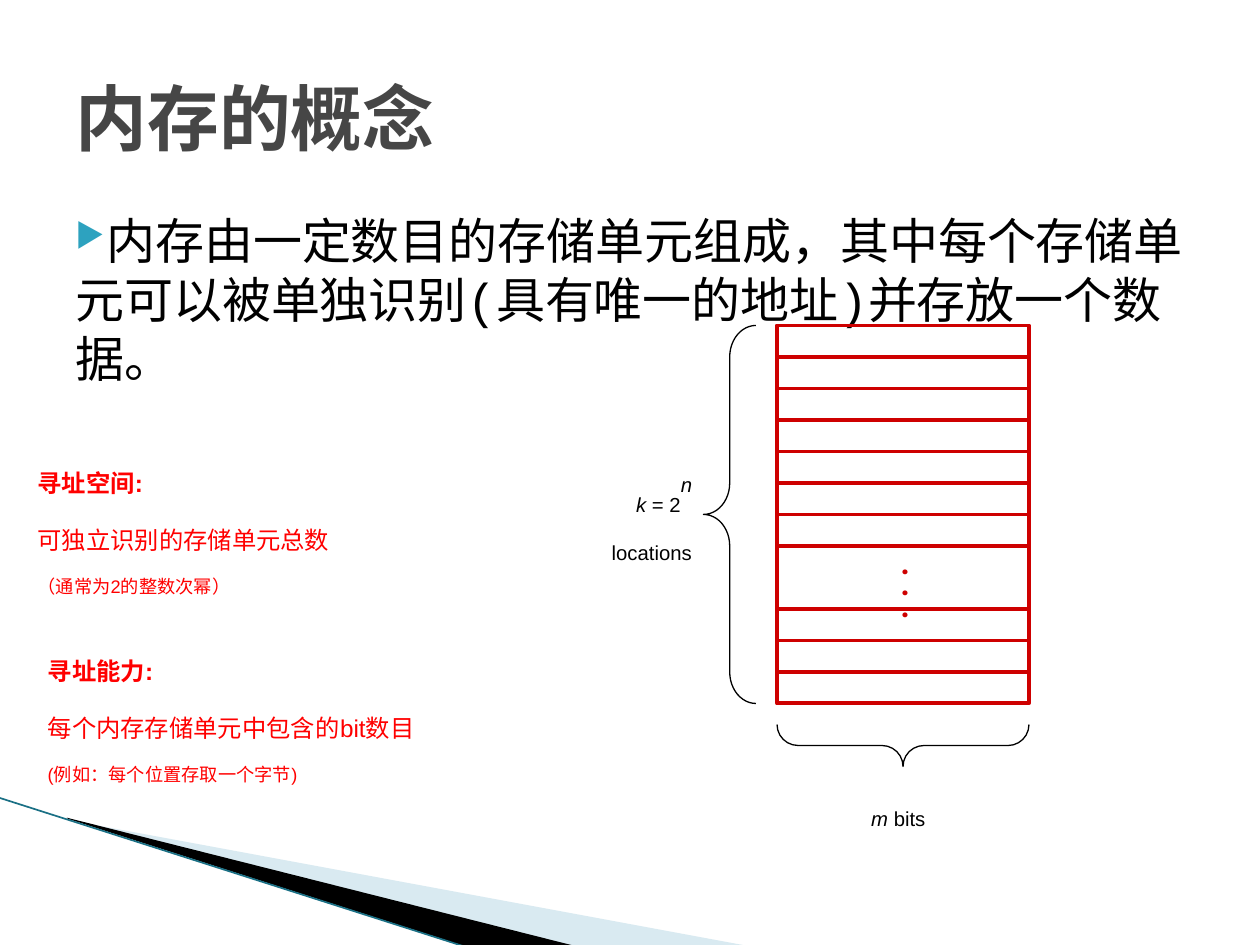
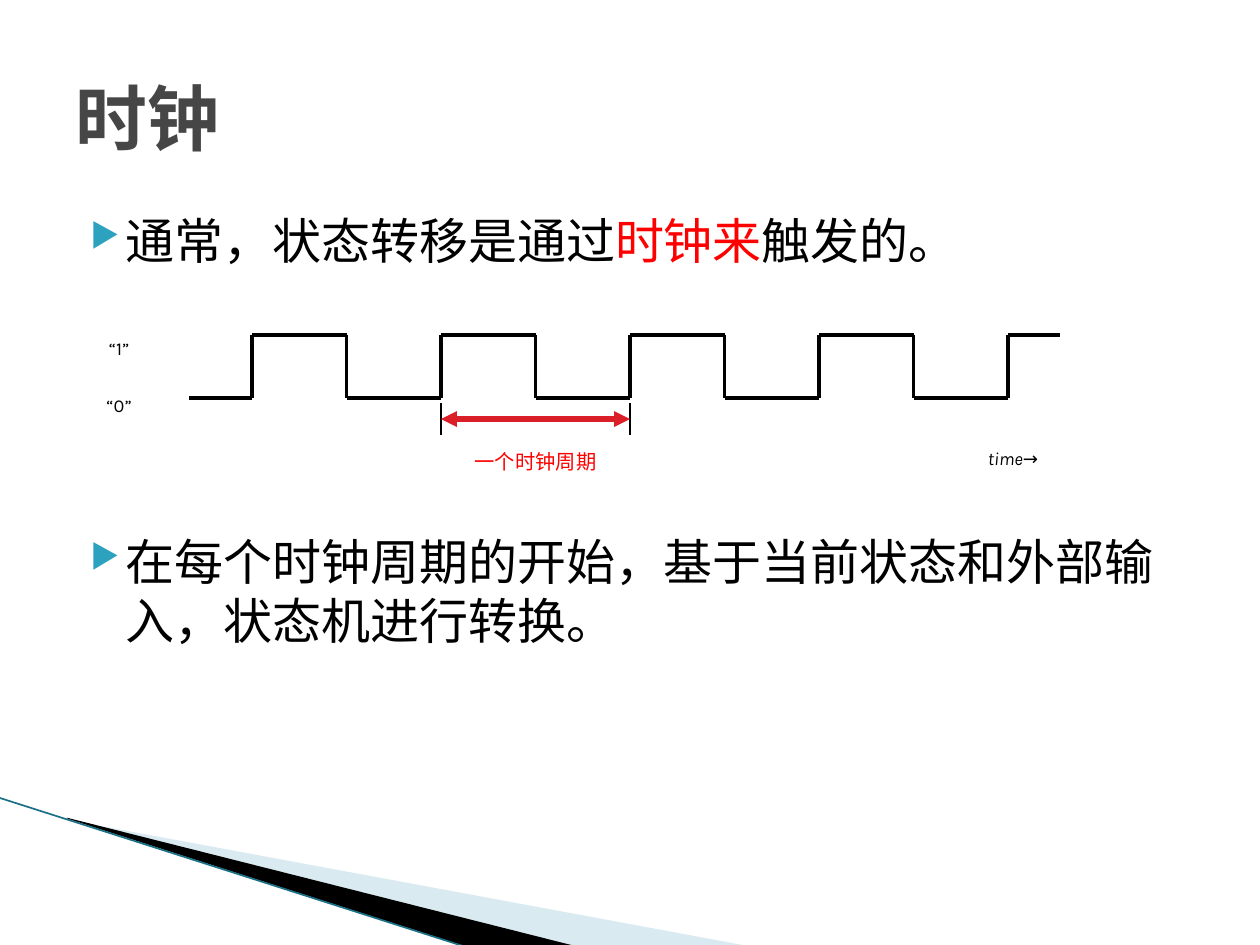
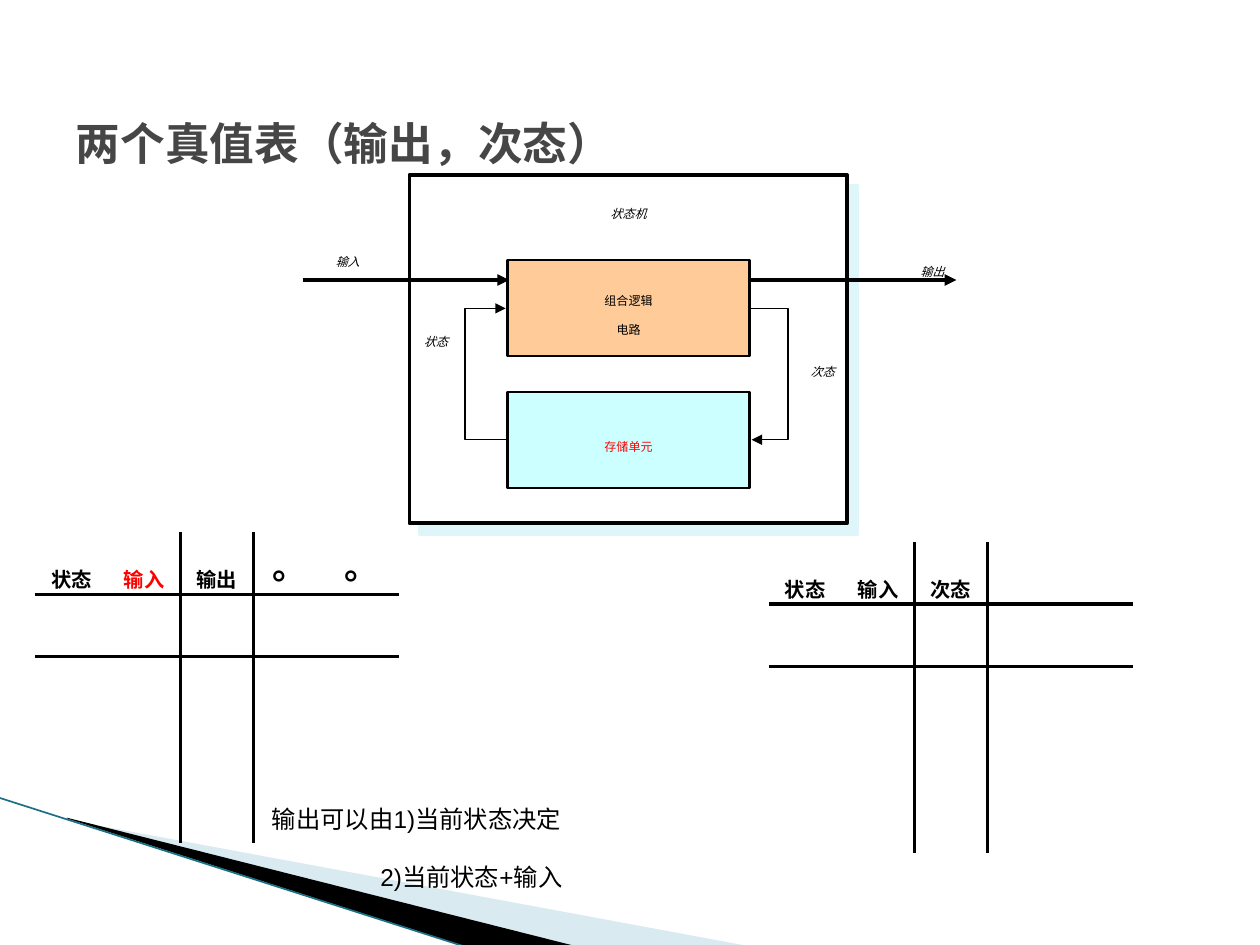
from lxml.etree import SubElement
from pptx import Presentation
from pptx.dml.color import RGBColor
from pptx.enum.shapes import MSO_CONNECTOR, MSO_SHAPE
from pptx.enum.text import MSO_ANCHOR, MSO_AUTO_SIZE, PP_ALIGN
from pptx.oxml.ns import qn
from pptx.util import Pt

BLACK, WHITE, RED = "000000", "FFFFFF", "FF0000"
MEMORY_RED, PERIOD_RED = "CE0000", "DA1F28"
TITLE_GREY, BULLET_TEAL = "464646", "2DA2BF"
WEDGE_BLUE, WEDGE_EDGE = "A0CBDC", "1A7085"
LOGIC_ORANGE, STORAGE_CYAN, SHADOW_BLUE = "FFCC99", "CCFFFF", "DEF5FA"
PLAIN_TABLE_STYLE = "{2D5ABB26-0587-4C30-8999-92F81FD0307C}"

LOWERED = -25000
TITLE = {"name": "Courier New", "size": Pt(41), "bold": True, "color": TITLE_GREY}
BODY = {"name": "Courier New", "size": Pt(28), "color": BLACK}
LABEL = {"name": "Arial", "size": Pt(20), "color": BLACK, "baseline": LOWERED}
NOTE = {**LABEL, "size": Pt(24), "color": RED}
SMALL = {**LABEL, "size": Pt(12)}
SIGNAL = {**LABEL, "name": "Karla", "size": Pt(18)}
HEADING = {**LABEL, "bold": True}


def rgb(value):
    return RGBColor.from_string(value)


def child(parent, tag, **attributes):
    return SubElement(parent, qn(tag), {key: str(value) for key, value in attributes.items()})


def points(*values):
    return [Pt(value) for value in values]


def add_run(paragraph, words, style):
    run = paragraph.add_run()
    run.text = words
    for key, value in style.items():
        if key == "color":
            run.font.color.rgb = rgb(value)
        elif key == "baseline":
            run.font._element.set("baseline", str(value))
        else:
            setattr(run.font, key, value)


def write(frame, paragraphs, style, **paragraph_format):
    """Fill a frame; each paragraph is a list of (words, changes to style)."""
    for index, runs in enumerate(paragraphs):
        paragraph = frame.add_paragraph() if index else frame.paragraphs[0]
        for key, value in paragraph_format.items():
            setattr(paragraph, key, value)
        for words, changes in runs:
            add_run(paragraph, words, {**style, **changes})


def indent(paragraph, margin, first=0):
    properties = paragraph._p.get_or_add_pPr()
    properties.set("marL", str(Pt(margin)))
    properties.set("indent", str(Pt(first)))
    return properties


def add_label(slide, box, paragraphs, style, alignment=PP_ALIGN.CENTER, **paragraph_format):
    frame = slide.shapes.add_textbox(*points(*box)).text_frame
    frame.word_wrap = False
    frame.auto_size = MSO_AUTO_SIZE.SHAPE_TO_FIT_TEXT
    write(frame, paragraphs, style, alignment=alignment, **paragraph_format)
    return frame


def add_body(slide, paragraphs, margin=0, first=0, gap=0):
    """Bulleted text, with gap points between its paragraphs."""
    frame = slide.shapes.add_textbox(*points(36, 116.64, 648, 356.4)).text_frame
    frame.word_wrap = True
    write(frame, paragraphs, BODY)
    for index, paragraph in enumerate(frame.paragraphs):
        paragraph.space_before = Pt(gap if index else 4)
        properties = indent(paragraph, margin, first)
        child(child(properties, "a:buClr"), "a:srgbClr", val=BULLET_TEAL)
        child(properties, "a:buSzPct", val=68000)
        child(properties, "a:buChar", char="▶")


def outline(shape, color, width):
    shape.line.color.rgb = rgb(color)
    shape.line.width = Pt(width)


def add_line(slide, start, end, color=BLACK, width=2.25, arrows=(), kind=MSO_CONNECTOR.STRAIGHT):
    connector = slide.shapes.add_connector(kind, *points(*start, *end))
    outline(connector, color, width)
    for arrow in arrows:
        child(connector.line._get_or_add_ln(), arrow, type="triangle")
    child(connector._element.spPr, "a:effectLst")
    return connector


def add_shape(slide, preset, box, fill=None, line=BLACK, width=2.25):
    shape = slide.shapes.add_shape(preset, *points(*box))
    shape.shadow.inherit = False
    outline(shape, line, width)
    if fill:
        shape.fill.solid()
        shape.fill.fore_color.rgb = rgb(fill)
    else:
        shape.fill.background()
    return shape


def add_wedge(slide, corners, color, opacity=100):
    start, *others = [points(*corner) for corner in corners]
    builder = slide.shapes.build_freeform(*start)
    builder.add_line_segments(others)
    wedge = builder.convert_to_shape()
    wedge.shadow.inherit = False
    wedge.fill.solid()
    wedge.fill.fore_color.rgb = rgb(color)
    wedge.line.fill.background()
    child(wedge._element.spPr.find(".//" + qn("a:srgbClr")), "a:alpha", val=opacity * 1000)


def add_titled_slide(deck, title, **changes):
    slide = deck.slides.add_slide(deck.slide_layouts[5])
    add_wedge(slide, [(39.6, 468.7), (428.4, 540.7), (328.3, 540.7), (39.6, 468)], WEDGE_BLUE, 40)
    add_wedge(slide, [(38.2, 467.3), (329, 540.7), (267.8, 541.4), (38.9, 468)], BLACK)
    add_line(slide, (-0.7, 455.8), (267.1, 541.4), WEDGE_EDGE, 0.95)

    heading = slide.shapes.title
    box = zip(("left", "top", "width", "height"), points(36, 21.6, 648, 90))
    for side, value in box:
        setattr(heading, side, value)
    frame = heading.text_frame
    frame.auto_size = MSO_AUTO_SIZE.NONE
    frame.vertical_anchor = MSO_ANCHOR.MIDDLE
    write(frame, [[(title, changes)]], TITLE, alignment=PP_ALIGN.LEFT)
    return slide


def add_memory(slide, left, top, width=144, row=18, rows=12, skipped=8):
    """Stack of cells with one divider skipped for the dots, and its braces."""
    height = row * rows
    add_shape(slide, MSO_SHAPE.RECTANGLE, (left, top, width, height), line=MEMORY_RED)
    for index in range(1, rows):
        if index != skipped:
            y = top + index * row
            add_line(slide, (left, y), (left + width, y), MEMORY_RED)
    add_label(slide, (left + 60, top + 126, 26.6, 39.6), [[("•", {})]] * 3,
              {**SIGNAL, "color": MEMORY_RED, "bold": True}, line_spacing=0.5)

    locations = add_shape(slide, MSO_SHAPE.LEFT_BRACE, (left - 42, top, 30, height), width=0.75)
    locations.adjustments[0] = 0.6
    bits = add_shape(slide, MSO_SHAPE.RIGHT_BRACE,
                     (left + width / 2 - 12, top + height - 48, 24, width), width=0.75)
    bits.adjustments[0] = 0.5
    bits.rotation = 90
    add_label(slide, (left - 135, top + 78.2, 93.6, 55.4),
              [[("k", {"italic": True}), (" = 2", {}), ("n", {"italic": True, "baseline": 30000})],
               [("locations", {})]], LABEL, PP_ALIGN.RIGHT)
    add_label(slide, (left + 35.5, top + 258, 67.7, 31),
              [[("m", {"italic": True}), (" bits", {})]], LABEL)


def add_definition(slide, box, term, meaning, example):
    add_label(slide, box, [[(term, {"bold": True})], [(meaning, {})],
                           [(example, {"size": Pt(18)})]], NOTE, PP_ALIGN.LEFT)


def add_clock(slide, left, high, half=54, swing=36):
    """Square wave with level labels and one marked period."""
    low = high + swing
    first = left + 36
    edges = [first + half * index for index in range(9)]
    stops = [left, *edges, edges[-1] + 30]
    for index, (start, end) in enumerate(zip(stops, stops[1:])):
        level = high if index % 2 else low
        add_line(slide, (start, level), (end, level))
    for x in edges:
        add_line(slide, (x, high), (x, low))

    for words, y in (("“1”", high - 14.4), ("“0”", high + 18)):
        add_label(slide, (left - 58.3, y, 36.7, 28.8), [[(words, {})]], SIGNAL)
    add_label(slide, (left + 437.8, low + 12.2, 66.2, 28.8), [[("time→", {"italic": True})]], SIGNAL)

    begin, end = edges[2], edges[4]
    for x in (begin, end):
        add_line(slide, (x, low + 3), (x, low + 21), width=0.75)
    add_line(slide, (begin, low + 12), (end, low + 12), PERIOD_RED, 3, ("a:headEnd", "a:tailEnd"))
    add_label(slide, (begin - 13.7, low + 12.2, 135.4, 31.7), [[("一个时钟周期", {})]],
              {**SIGNAL, "size": Pt(20), "color": RED})


def add_loop(slide, start, end, reach):
    """Elbow arrow that goes reach points sideways before it turns back."""
    loop = add_line(slide, start, end, width=0.75, arrows=("a:tailEnd",), kind=MSO_CONNECTOR.ELBOW)
    geometry = loop._element.spPr.find(qn("a:prstGeom"))
    guides = geometry.find(qn("a:avLst"))
    if guides is None:
        guides = child(geometry, "a:avLst")
    ratio = round(reach / abs(end[0] - start[0]) * 100000)
    child(guides, "a:gd", name="adj1", fmla=f"val {ratio}")


def add_state_machine(slide, left, top):
    machine = add_shape(slide, MSO_SHAPE.RECTANGLE, (left, top, 250, 199), WHITE)
    shadow = child(machine._element.spPr.find(qn("a:effectLst")), "a:outerShdw",
                   blurRad=0, dist=Pt(8.5), dir=45 * 60000, algn="ctr", rotWithShape=0)
    child(shadow, "a:srgbClr", val=SHADOW_BLUE)

    unit_left, unit_width = left + 56, 138.5
    unit_right = unit_left + unit_width
    units = ((48.5, LOGIC_ORANGE, BLACK, ("组合逻辑", "电路")),
             (124, STORAGE_CYAN, RED, ("存储单元",)))
    for y, fill, color, lines in units:
        unit = add_shape(slide, MSO_SHAPE.RECTANGLE, (unit_left, top + y, unit_width, 55), fill, width=1.5)
        unit.text_frame.word_wrap = False
        unit.text_frame.vertical_anchor = MSO_ANCHOR.MIDDLE
        write(unit.text_frame, [[(line, {})] for line in lines], {**SMALL, "color": color},
              alignment=PP_ALIGN.CENTER)

    for x in (left - 61, unit_right):
        add_line(slide, (x, top + 60), (x + 118, top + 60), arrows=("a:tailEnd",))
    upper, lower = top + 76.3, top + 151.3
    add_loop(slide, (unit_right, upper), (unit_right + 1, lower), 22)
    add_loop(slide, (unit_left, lower), (unit_left - 1, upper), 24.5)

    labels = (("状态机", 82, 6.5, 86.4), ("输入", -54.7, 33.8, 38.9), ("状态", -4.3, 79.2, 38.9),
              ("输出", 279.4, 39.6, 38.9), ("次态", 216.7, 96.5, 38.9))
    for words, x, y, width in labels:
        add_label(slide, (left + x, top + y, width, 21.6), [[(words, {"italic": True})]], SMALL)


def add_border(cell, side):
    border = child(cell._tc.get_or_add_tcPr(), side, w=Pt(2.25))
    child(child(border, "a:solidFill"), "a:srgbClr", val=BLACK)


def add_truth_table(slide, left, top, headings, size=5):
    frame = slide.shapes.add_table(size, size, *points(left, top, 208, 178))
    grid = frame.table
    grid.first_row = grid.horz_banding = False
    grid._tbl.tblPr.find(qn("a:tableStyleId")).text = PLAIN_TABLE_STYLE
    for row in range(size):
        for column in range(size):
            cell = grid.cell(row, column)
            cell.vertical_anchor = MSO_ANCHOR.MIDDLE
            if column == 2:
                add_border(cell, "a:lnL")
            if column == 1:
                add_border(cell, "a:lnR")
            if row == 1:
                add_border(cell, "a:lnT")
            if row == 0:
                add_border(cell, "a:lnB")
            cell.fill.background()
    for column, (words, changes) in enumerate(headings):
        write(grid.cell(0, column).text_frame, [[(words, changes)]], HEADING,
              alignment=PP_ALIGN.CENTER, space_before=Pt(4))


def build_memory_slide(deck):
    slide = add_titled_slide(deck, "内存的概念")
    add_body(slide, [[("内存由一定数目的存储单元组成，其中每个存储单元可以被单独识别"
                       "(具有唯一的地址)并存放一个数据。", {})]])
    add_memory(slide, 444, 186)
    add_definition(slide, (14.4, 247.7, 305.3, 87), "寻址空间:", "可独立识别的存储单元总数",
                   "（通常为2的整数次幂）")
    add_definition(slide, (20.2, 355, 379.4, 87), "寻址能力:", "每个内存存储单元中包含的bit数目",
                   "(例如：每个位置存取一个字节)")


def build_clock_slide(deck):
    slide = add_titled_slide(deck, "时钟")
    add_body(slide, [[("通常，状态转移是通过", {}), ("时钟来", {"color": RED}), ("触发的。", {})],
                     [("在每个时钟周期的开始，基于当前状态和外部输入，状态机进行转换。", {})]],
             margin=28.8, first=-20.16, gap=150)
    add_clock(slide, 108, 191.5)


def build_truth_table_slide(deck):
    slide = add_titled_slide(deck, "两个真值表（输出，次态）",
                             name="Arial", size=Pt(44), baseline=LOWERED)
    add_state_machine(slide, 234, 100)
    full_stop = ("。", {"baseline": 0})
    add_truth_table(slide, 20, 304, [("状态", {}), ("输入", {"color": RED}), ("输出", {}),
                                     full_stop, full_stop])
    add_truth_table(slide, 439.4, 309.6, [("状态", {}), ("输入", {}), ("次态", {})])
    causes = add_label(slide, (121.7, 440, 235.4, 46),
                       [[("输出可以由1)当前状态决定", {})], [("2)当前状态+输入", {})]],
                       {**NOTE, "color": BLACK}, PP_ALIGN.LEFT)
    for paragraph, margin in zip(causes.paragraphs, (26.6, 88.6)):
        indent(paragraph, margin)


def main():
    deck = Presentation()
    deck.slide_width, deck.slide_height = points(720, 540)
    build_memory_slide(deck)
    build_clock_slide(deck)
    build_truth_table_slide(deck)
    deck.save("out.pptx")


if __name__ == "__main__":
    main()
